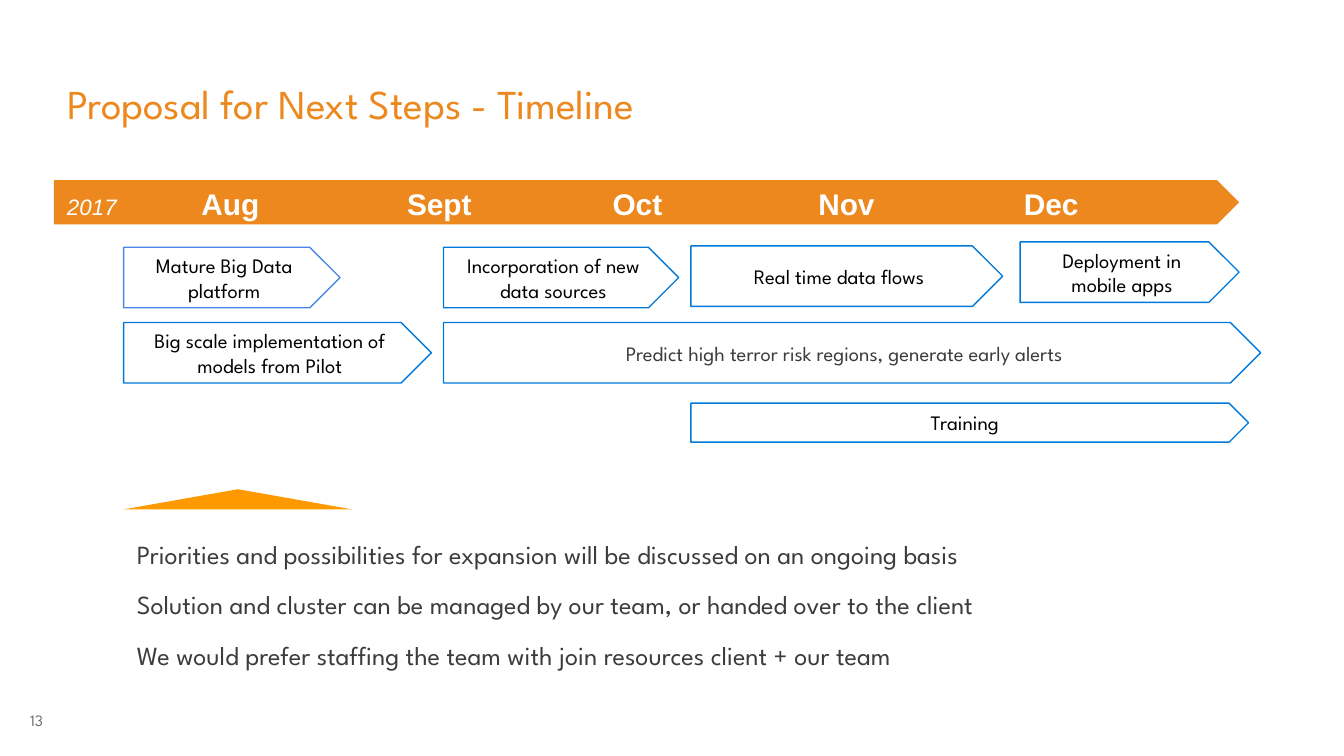
from pptx import Presentation
from pptx.dml.color import RGBColor
from pptx.enum.shapes import MSO_SHAPE
from pptx.enum.text import MSO_ANCHOR, PP_ALIGN
from pptx.oxml import parse_xml
from pptx.oxml.ns import nsdecls
from pptx.util import Inches, Pt

COLORS = {
    "orange": "EC881D", "amber": "FF9900", "blue": "0079DB", "sky": "4A86E8",
    "white": "FFFFFF", "black": "000000", "text": "3C3C3B", "gray": "6C6C6C",
}
FONT = "League Spartan"
COLS, ROWS = 100, 56.25  # square grid cells of a tenth of an inch
CELL = Inches(10) / COLS

MONTHS = ["Aug", "Sept", "Oct", "Nov", "Dec"]
FIRST_MONTH, MONTH_STEP = 10, 15.3

# Text, (column, row, columns, rows), line colour, text colour
STEPS = [
    ("Mature Big Data platform", (9.2, 18.4, 16.1, 4.5), "sky", "black"),
    ("Incorporation of new data sources", (33, 18.4, 17.5, 4.5), "blue", "black"),
    ("Real time data flows", (51.4, 18.3, 23.2, 4.5), "blue", "black"),
    ("Deployment in mobile apps", (75.9, 18, 16.3, 4.5), "blue", "black"),
    ("Big scale implementation of models from Pilot", (9.2, 24, 22.9, 4.5), "blue", "black"),
    ("Predict high terror risk regions, generate early alerts", (33, 24, 60.8, 4.5), "blue", "text"),
    ("Training", (51.4, 30, 41.5, 2.9), "blue", "black"),
]
NOTES = [
    "Priorities and possibilities for expansion will be discussed on an ongoing basis",
    "Solution and cluster can be managed by our team, or handed over to the client",
    "We would prefer staffing the team with join resources client + our team",
]


def cells(*counts):
    return [round(n * CELL) for n in counts]


def rgb(name):
    return RGBColor.from_string(COLORS[name])


def add_run(p, text, size, color, font=FONT, bold=False, italic=False):
    r = p.add_run()
    r.text = text
    f = r.font
    f.name, f.size, f.bold, f.italic = font, Pt(size), bold, italic
    f.color.rgb = rgb(color)


def set_frame(tf, anchor, side, top):
    """Set wrapping, anchor and the side and top insets, in cells."""
    tf.word_wrap = True
    tf.vertical_anchor = anchor
    tf.margin_left, tf.margin_top = tf.margin_right, tf.margin_bottom = cells(side, top)


def add_text_box(s, box, anchor=MSO_ANCHOR.TOP, side=0, top=0):
    tf = s.shapes.add_textbox(*cells(*box)).text_frame
    set_frame(tf, anchor, side, top)
    return tf


def add_solid(s, kind, box, fill, line=None):
    sp = s.shapes.add_shape(kind, *cells(*box))
    sp.shadow.inherit = False
    sp.fill.solid()
    sp.fill.fore_color.rgb = rgb(fill)
    if line:
        sp.line.color.rgb = rgb(line)
        sp.line.width = Pt(0.75)
    else:
        sp.line.fill.background()
    return sp


def add_title(s, box, text):
    p = add_text_box(s, box, MSO_ANCHOR.BOTTOM).paragraphs[0]
    p.line_spacing = 0.95
    add_run(p, text, 22, "orange")


def add_page_number(s, box, number):
    tf = add_text_box(s, box)
    tf.word_wrap = False
    p = tf.paragraphs[0]
    p.alignment = PP_ALIGN.RIGHT
    add_run(p, number, 8.5, "gray")


def add_month_band(s, box, year, months):
    """Draw the year arrow, with one tab stop for each month."""
    tf = add_solid(s, MSO_SHAPE.PENTAGON, box, "orange").text_frame
    set_frame(tf, MSO_ANCHOR.MIDDLE, 1, 0.5)
    p = tf.paragraphs[0]
    p.alignment = PP_ALIGN.LEFT
    stops = cells(*(FIRST_MONTH + i * MONTH_STEP for i in range(len(months))))
    tabs = "".join(f'<a:tab pos="{pos}" algn="l"/>' for pos in stops)
    p._p.get_or_add_pPr().append(parse_xml(f'<a:tabLst {nsdecls("a")}>{tabs}</a:tabLst>'))
    add_run(p, year, 12, "white", "Arial", italic=True)
    for month in months:
        add_run(p, "\t", 18, "white", "Arial")
        add_run(p, month, 16, "white", "Arial", bold=True)


def add_step(s, box, text, line, color):
    tf = add_solid(s, MSO_SHAPE.PENTAGON, box, "white", line).text_frame
    set_frame(tf, MSO_ANCHOR.MIDDLE, 1, 1)
    p = tf.paragraphs[0]
    p.alignment = PP_ALIGN.CENTER
    add_run(p, text, 11, color)


def add_notes_list(s, box, notes):
    tf = add_text_box(s, box, side=1, top=0.5)
    for i, note in enumerate(notes):
        p = tf.add_paragraph() if i else tf.paragraphs[0]
        p.space_after = Pt(10)
        add_run(p, note, 14, "text")


def main():
    prs = Presentation()
    prs.slide_width, prs.slide_height = cells(COLS, ROWS)
    s = prs.slides.add_slide(prs.slide_layouts[6])
    add_page_number(s, (1.7, 52.9, 1.5, 1.4), "13")
    add_title(s, (5, 1.9, 79.1, 7.7), "Proposal for Next Steps - Timeline")
    for text, box, line, color in STEPS:
        add_step(s, box, text, line, color)
    add_solid(s, MSO_SHAPE.ISOSCELES_TRIANGLE, (9.2, 36.4, 17, 1.5), "amber")
    add_month_band(s, (4, 13.4, 88.2, 3.3), "2017", MONTHS)
    add_notes_list(s, (9.2, 39.6, 79.1, 12.2), NOTES)
    prs.save("out.pptx")


if __name__ == "__main__":
    main()
